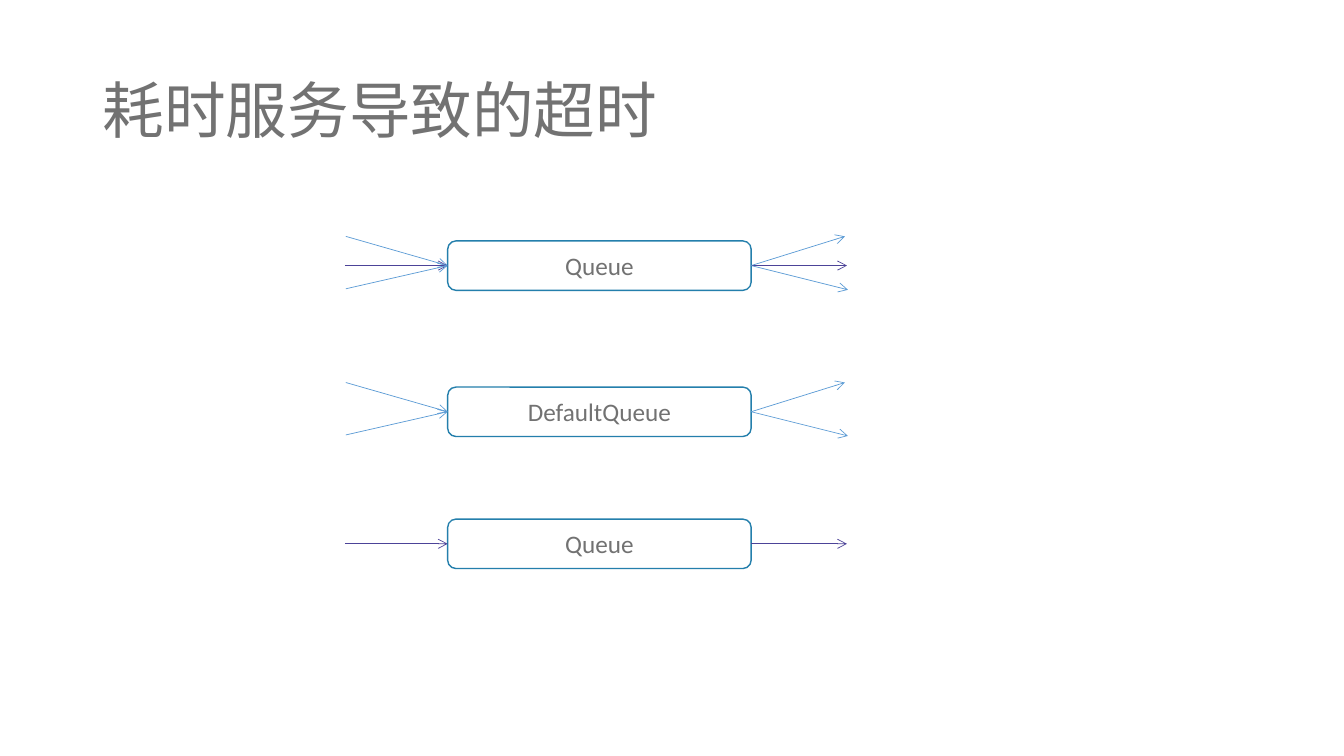
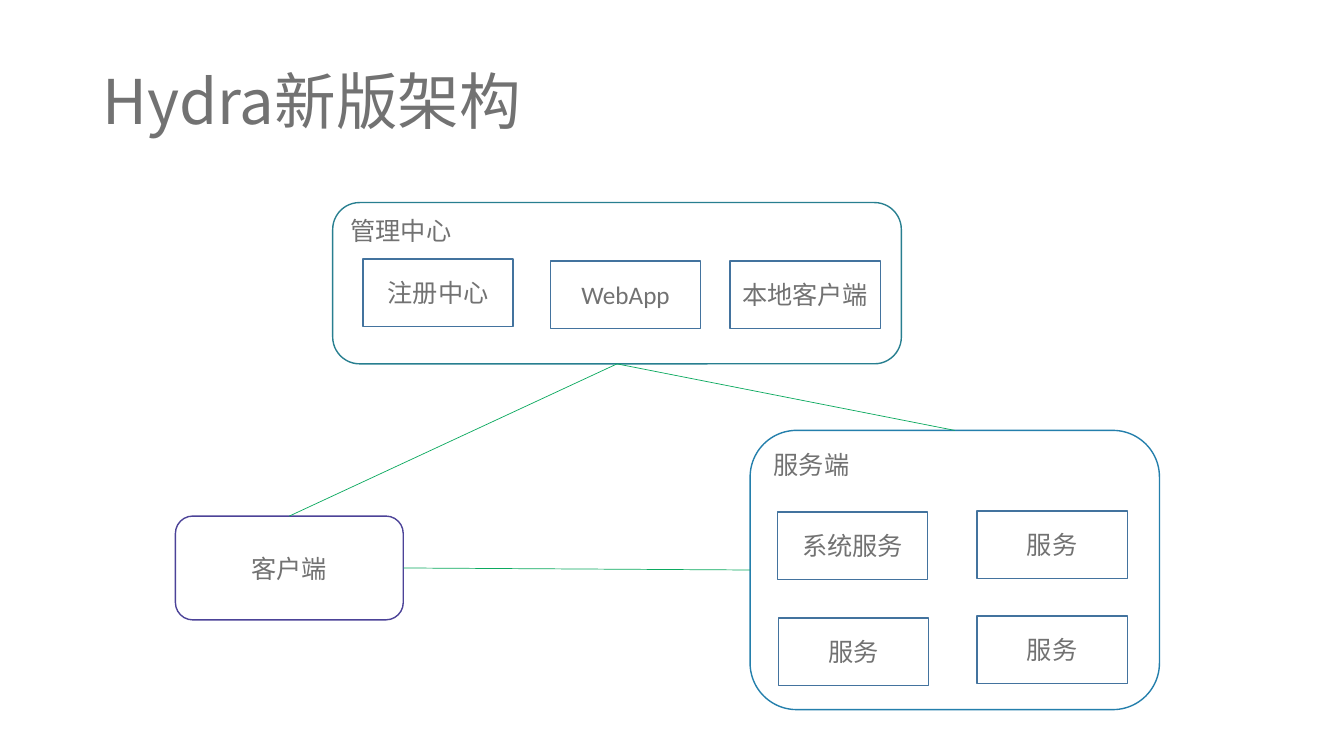
from lxml.etree import SubElement
from pptx import Presentation
from pptx.dml.color import RGBColor
from pptx.enum.shapes import MSO_CONNECTOR, MSO_SHAPE
from pptx.enum.text import MSO_ANCHOR as Anchor, PP_ALIGN as Align
from pptx.oxml.ns import qn
from pptx.util import Inches, Pt

GRAY, BLUE, PURPLE, TEAL = "727272", "247FAC", "4C4398", "287F90"
SKY, GREEN, STEEL = "5B9BD5", "0BA95F", "43739E"
LATIN_FONT, CHINESE_FONT = "Calibri", "Noto Sans CJK SC"
TOP, LEFT, BOTTOM, RIGHT = range(4)

# Slide 1: label, top of the box, streams through it
QUEUES = [
    ("Queue", 2.39, ("upper", "middle", "lower")),
    ("DefaultQueue", 3.84, ("upper", "lower")),
    ("Queue", 5.15, ("middle",)),
]
QUEUE_LEFT, QUEUE_WIDTH, QUEUE_HEIGHT = 4.44, 3.01, 0.49
# Colour, then x and offset from the box's middle for source and target
STREAMS = {
    "upper": (SKY, (3.43, -0.29), (8.38, -0.29)),
    "middle": (PURPLE, (3.42, 0), (8.4, 0)),
    "lower": (SKY, (3.43, 0.23), (8.41, 0.24)),
}

# Slide 2: place, colour, whether the label is a heading at the top left
GROUPS = {
    "服务端": ((7.44, 4.27, 4.06, 2.77), BLUE, True),
    "客户端": ((1.74, 5.12, 2.26, 1.03), PURPLE, False),
    "管理中心": ((3.3, 2.01, 5.64, 1.6), TEAL, True),
}
LINKS = [
    ("客户端", RIGHT, "服务端", LEFT),
    ("客户端", TOP, "管理中心", BOTTOM),
    ("管理中心", BOTTOM, "服务端", TOP),
]
PARTS = [
    ("系统服务", 7.71, 5.08),
    ("服务", 9.69, 5.07),
    ("服务", 7.72, 6.13),
    ("服务", 9.69, 6.11),
    ("注册中心", 3.6, 2.57),
    ("WebApp", 5.46, 2.59),
    ("本地客户端", 7.24, 2.59),
]
PART_SIZE = (1.49, 0.67)


def color(value):
    return RGBColor.from_string(value)


def write(shape, text, size, font, align, anchor):
    frame = shape.text_frame
    frame.word_wrap = True
    frame.vertical_anchor = anchor
    frame.text = text
    para = frame.paragraphs[0]
    para.alignment = align
    span = para.runs[0]
    span.font.size = Pt(size)
    span.font.color.rgb = color(GRAY)
    span.font.name = font
    SubElement(span.font._element, qn("a:ea"), typeface=CHINESE_FONT)
    return para


def add_titled_slide(deck, title, top):
    slide = deck.slides.add_slide(deck.slide_layouts[6])
    box = slide.shapes.add_textbox(*map(Inches, (0.92, top, 11.5, 1.45)))
    para = write(box, title, 44, CHINESE_FONT, Align.LEFT, Anchor.MIDDLE)
    para.line_spacing = 0.9
    return slide


def add_box(slide, text, place, outline, kind=MSO_SHAPE.ROUNDED_RECTANGLE, heading=False):
    box = slide.shapes.add_shape(kind, *map(Inches, place))
    box.shadow.inherit = False
    box.fill.background()
    box.line.color.rgb = color(outline)
    box.line.width = Pt(1)
    align, anchor = (Align.LEFT, Anchor.TOP) if heading else (Align.CENTER, Anchor.MIDDLE)
    write(box, text, 18, LATIN_FONT, align, anchor)
    return box


def add_line(slide, stroke, start=(0, 0), end=(0, 0), start_joint=None, end_joint=None, arrow=False):
    """Draw a line between points; a joint (box, side) takes the place of a point."""
    line = slide.shapes.add_connector(MSO_CONNECTOR.STRAIGHT, *map(Inches, (*start, *end)))
    if start_joint:
        line.begin_connect(*start_joint)
    if end_joint:
        line.end_connect(*end_joint)
    line.line.color.rgb = color(stroke)
    line.line.width = Pt(0.5)
    properties = line._element.spPr
    if arrow:
        SubElement(properties.find(qn("a:ln")), qn("a:tailEnd"), type="arrow")
    SubElement(properties, qn("a:effectLst"))


def build_queues(deck):
    slide = add_titled_slide(deck, "耗时服务导致的超时", 0.4)
    for label, top, streams in QUEUES:
        box = add_box(slide, label, (QUEUE_LEFT, top, QUEUE_WIDTH, QUEUE_HEIGHT), BLUE)
        middle = top + QUEUE_HEIGHT / 2
        entry, exit_point = (QUEUE_LEFT, middle), (QUEUE_LEFT + QUEUE_WIDTH, middle)
        for stream in streams:
            stroke, (source_x, source_dy), (target_x, target_dy) = STREAMS[stream]
            add_line(slide, stroke, (source_x, middle + source_dy), entry,
                     end_joint=(box, LEFT), arrow=True)
            add_line(slide, stroke, exit_point, (target_x, middle + target_dy),
                     start_joint=(box, RIGHT), arrow=True)


def build_architecture(deck):
    slide = add_titled_slide(deck, "Hydra新版架构", 0.31)
    groups = {
        name: add_box(slide, name, place, outline, heading=heading)
        for name, (place, outline, heading) in GROUPS.items()
    }
    for source, source_side, target, target_side in LINKS:
        add_line(slide, GREEN, start_joint=(groups[source], source_side),
                 end_joint=(groups[target], target_side))
    for label, left, top in PARTS:
        add_box(slide, label, (left, top, *PART_SIZE), STEEL, MSO_SHAPE.RECTANGLE)


def main():
    deck = Presentation()
    deck.slide_width, deck.slide_height = Inches(13.33), Inches(7.5)
    build_queues(deck)
    build_architecture(deck)
    deck.save("out.pptx")


if __name__ == "__main__":
    main()
